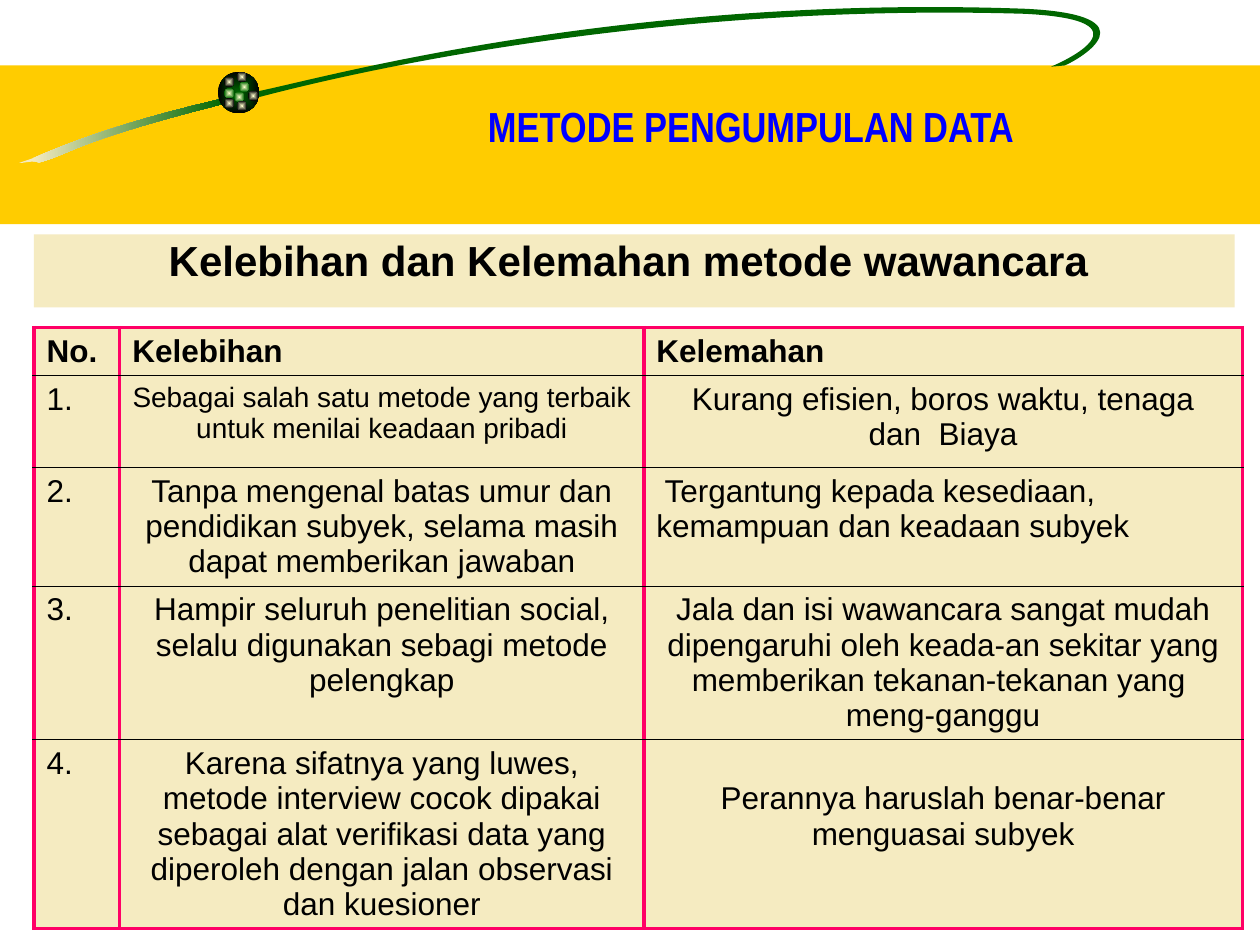
from pptx import Presentation
from pptx.dml.color import RGBColor
from pptx.enum import shapes, text
from pptx.oxml import parse_xml
from pptx.oxml.ns import nsdecls, qn
from pptx.util import Inches, Pt

HUE = {"band": "FFCC00", "green": "006600", "black": "000000",
       "cream": "F5EBC1", "glow": "FFFFCC", "pink": "FF0066", "blue": "0000FF"}
MID, JUST = text.PP_ALIGN.CENTER, text.PP_ALIGN.JUSTIFY

TITLE = "METODE PENGUMPULAN DATA"
HEAD = "Kelebihan dan Kelemahan metode wawancara "
ROWS = [
    ("No.", "Kelebihan", "Kelemahan"),
    ("1.", "Sebagai salah satu metode yang terbaik untuk menilai keadaan pribadi",
     " Kurang efisien, boros waktu, tenaga \ndan  Biaya"),
    ("2.", "Tanpa mengenal batas umur dan pendidikan subyek, selama masih "
     "dapat memberikan jawaban",
     " Tergantung kepada kesediaan, \nkemampuan dan keadaan subyek"),
    ("3.", "Hampir seluruh penelitian social, selalu digunakan sebagi metode pelengkap",
     "Jala dan isi wawancara sangat mudah dipengaruhi oleh keada-an sekitar yang "
     "memberikan tekanan-tekanan yang \nmeng-ganggu"),
    ("4.", "Karena sifatnya yang luwes, metode interview cocok dipakai sebagai alat "
     "verifikasi data yang diperoleh dengan jalan observasi dan kuesioner",
     "Perannya haruslah benar-benar menguasai subyek"),
]
WIDE = [0.68, 4.16, 4.75]
HIGH = [0.38, 0.73, 0.94, 1.22, 1.5]
LEFT_CELL = (2, 2)   # the one body cell that is not centred
SMALL_CELL = (1, 1)  # set in 16 pt
LOW_CELL = (4, 2)    # starts one line lower

# Each outline: a start point, then curves (two controls, end) or line ends
TAIL = [(1.78, 0.78), (0.91, 0.98, 0.49, 1.16, 0.25, 1.26),
        (0.01, 1.34, 0.26, 1.26, 0.31, 1.29), (0.57, 1.22, 0.57, 1.13, 1.79, 0.82)]
LOOP = [(2.02, 0.73), (2.46, 0.65, 4.86, -0.05, 8.14, 0.07),
        (9.17, 0.12, 8.57, 0.47, 8.45, 0.52), (8.34, 0.53),
        (8.44, 0.49, 9.16, 0.16, 8.13, 0.11), (5.48, 0.03, 3.2, 0.47, 2.06, 0.77)]
DOTS = [(1.9, 0.65, "green"), (1.78, 0.61, "black"), (1.78, 0.7, "green"),
        (1.86, 0.73, "green"), (1.97, 0.72, "black"), (1.88, 0.8, "black"),
        (1.78, 0.78, "black"), (1.88, 0.57, "black")]


def rgb(name):
    return RGBColor.from_string(HUE[name])


def plain(shape, hue=None):
    shape.shadow.inherit = False
    shape.line.fill.background()
    if hue:
        shape.fill.solid()
        shape.fill.fore_color.rgb = rgb(hue)
    return shape


def blend(shape, first, last, radial=False):
    """Fill with two colours, left to right or from the centre out."""
    shape.fill.gradient()
    shape.fill.gradient_angle = 0
    for stop, hue in zip(shape.fill.gradient_stops, (first, last)):
        stop.color.rgb = rgb(hue)
    if radial:
        grad = shape.element.spPr.find(qn("a:gradFill"))
        grad.replace(grad.find(qn("a:lin")), parse_xml(
            f'<a:path {nsdecls("a")} path="rect"><a:fillToRect l="50000" '
            't="50000" r="50000" b="50000"/></a:path>'))


def outline(tree, parts):
    """Build the outline from its end points, then bend the curved sides."""
    unit = 1000  # local units to the inch
    spots = [[round(v * unit) for v in part] for part in parts]
    ends = [spot[-2:] for spot in spots]
    pen = tree.build_freeform(*ends[0], scale=Inches(1) / unit)
    pen.add_line_segments(ends[1:], close=True)
    shape = plain(pen.convert_to_shape())
    left, top = (min(axis) for axis in zip(*ends))
    for side, spot in zip(list(shape.element.iter(qn("a:lnTo"))), spots[1:]):
        if len(spot) == 6:
            pts = "".join(f'<a:pt x="{x - left}" y="{y - top}"/>'
                          for x, y in zip(spot[::2], spot[1::2]))
            side.getparent().replace(side, parse_xml(
                f'<a:cubicBezTo {nsdecls("a")}>{pts}</a:cubicBezTo>'))
    return shape


def ball(tree, x, y, size, first, last):
    dot = plain(tree.add_shape(shapes.MSO_SHAPE.OVAL, *map(Inches, (x, y, size, size))))
    blend(dot, first, last, radial=True)


def write(frame, words, size, align, bold=False, hue="black", font="Arial"):
    frame.text = words
    frame.word_wrap = True
    for para in frame.paragraphs:
        para.alignment = align
        for run in para.runs:
            run.font.size, run.font.bold, run.font.name = Pt(size), bold, font
            run.font.color.rgb = rgb(hue)


def border(cell, row):
    thick, thin = ("pink", 2.21), ("black", 0.45)
    sides = {"L": thick, "R": thick, "T": thin if row else thick,
             "B": thick if row == len(ROWS) - 1 else thin}
    props = cell._tc.get_or_add_tcPr()
    for i, (side, (hue, width)) in enumerate(sides.items()):
        props.insert(i, parse_xml(
            f'<a:ln{side} {nsdecls("a")} w="{int(Pt(width))}"><a:solidFill>'
            f'<a:srgbClr val="{HUE[hue]}"/></a:solidFill></a:ln{side}>'))


def fill_table(table):
    for col, width in zip(table.columns, WIDE):
        col.width = Inches(width)
    for r, (row, height) in enumerate(zip(ROWS, HIGH)):
        table.rows[r].height = Inches(height)
        for c, words in enumerate(row):
            cell, spot = table.cell(r, c), (r, c)
            cell.fill.solid()
            cell.fill.fore_color.rgb = rgb("cream")
            side = JUST if r == 0 or c == 0 or spot == LEFT_CELL else MID
            write(cell.text_frame, words, 16 if spot == SMALL_CELL else 18, side, r == 0)
            if spot == LOW_CELL:
                cell.margin_top = Inches(0.33)
            border(cell, r)


def main():
    deck = Presentation()
    deck.slide_width, deck.slide_height = Inches(10), Inches(7.5)
    slide = deck.slides.add_slide(deck.slide_layouts[5])
    tree = slide.shapes
    box = shapes.MSO_SHAPE.RECTANGLE

    plain(tree.add_shape(box, *map(Inches, (0, 0.52, 10, 1.26))), "band")
    blend(outline(tree, TAIL), "cream", "green")
    plain(outline(tree, LOOP), "green")
    ball(tree, 1.73, 0.57, 0.33, "green", "black")
    for x, y, rim in DOTS:
        ball(tree, x, y, 0.08, "glow", rim)

    spot = map(Inches, (0.27, 2.6, sum(WIDE), sum(HIGH)))
    fill_table(tree.add_table(len(ROWS), len(WIDE), *spot).table)

    head = plain(tree.add_shape(box, *map(Inches, (0.27, 1.86, 9.53, 0.58))), "cream")
    frame = head.text_frame
    frame.margin_left = frame.margin_right = frame.margin_top = frame.margin_bottom = 0
    frame.vertical_anchor = text.MSO_ANCHOR.TOP
    write(frame, HEAD, 24, MID, True)

    title = tree.title
    title.left, title.top, title.width, title.height = map(Inches, (2.25, 0.75, 7.42, 0.5))
    title.text_frame.vertical_anchor = text.MSO_ANCHOR.MIDDLE
    write(title.text_frame, TITLE, 24, MID, True, "blue", "Arial Narrow")
    title.element.getparent().append(title.element)  # in front of the band

    deck.save("out.pptx")


if __name__ == "__main__":
    main()
